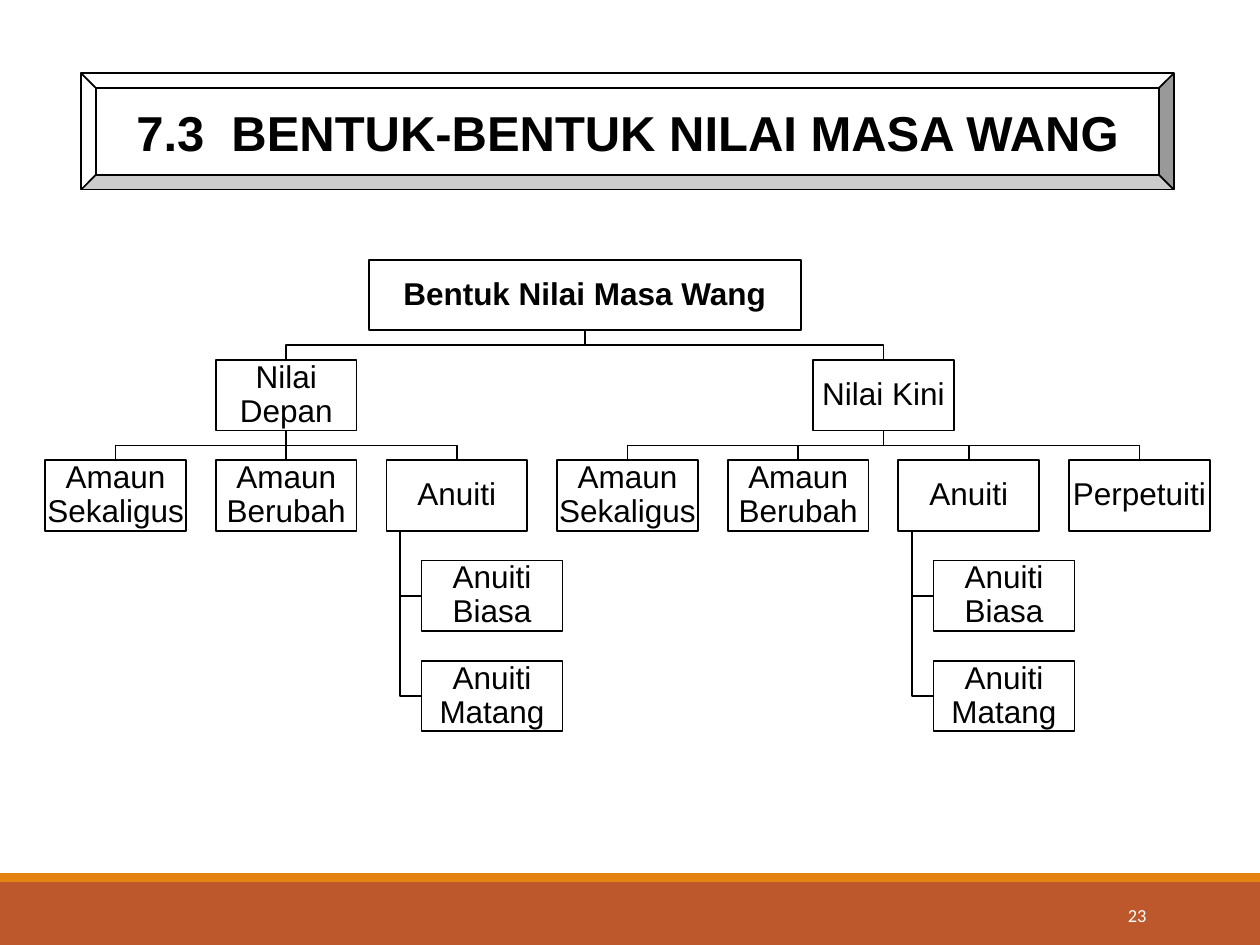
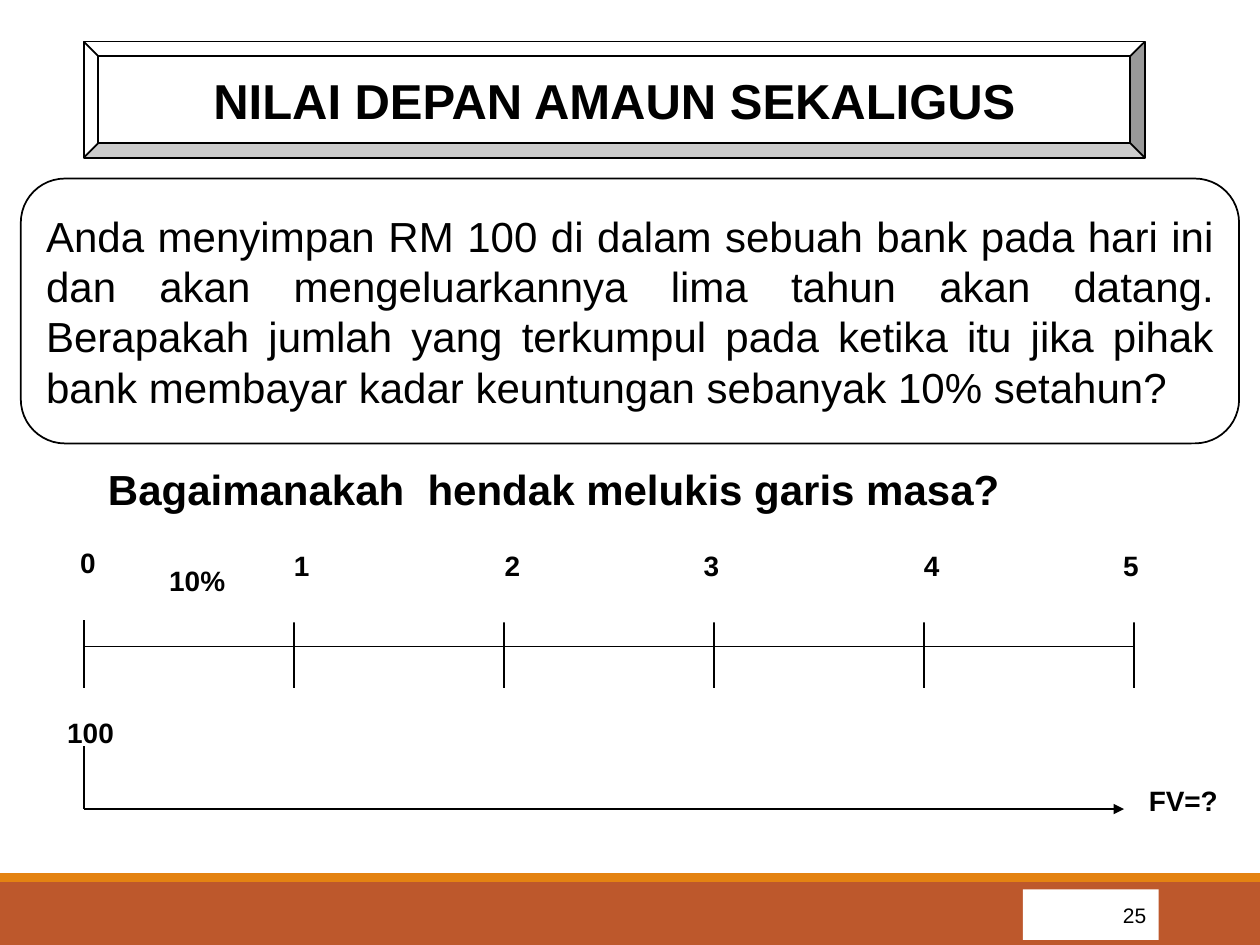
from lxml import etree
from pptx import Presentation
from pptx.dml.color import RGBColor
from pptx.enum.shapes import MSO_CONNECTOR, MSO_SHAPE
from pptx.enum.text import MSO_ANCHOR, PP_ALIGN
from pptx.oxml.ns import qn
from pptx.util import Cm, Pt

RECT, BEVEL, ROUNDED = MSO_SHAPE.RECTANGLE, MSO_SHAPE.BEVEL, MSO_SHAPE.ROUNDED_RECTANGLE
STRAIGHT = MSO_CONNECTOR.STRAIGHT
CENTER, RIGHT, JUSTIFY = PP_ALIGN.CENTER, PP_ALIGN.RIGHT, PP_ALIGN.JUSTIFY
TOP, MIDDLE = MSO_ANCHOR.TOP, MSO_ANCHOR.MIDDLE
SITE_TOP, SITE_BOTTOM = 0, 2

COLORS = {"black": "000000", "white": "FFFFFF", "rust": "BD582C", "orange": "E48312"}

TREE_TITLE = "7.3  BENTUK-BENTUK NILAI MASA WANG"
TREE_ROOT = "Bentuk Nilai Masa Wang"
ANNUITIES = ["Anuiti Biasa", "Anuiti Matang"]
BRANCHES = [
    ("Nilai Depan", [("Amaun Sekaligus", []), ("Amaun Berubah", []), ("Anuiti", ANNUITIES)]),
    ("Nilai Kini", [("Amaun Sekaligus", []), ("Amaun Berubah", []), ("Anuiti", ANNUITIES),
                    ("Perpetuiti", [])]),
]

FUTURE_TITLE = "NILAI DEPAN AMAUN SEKALIGUS"
PROBLEM = ("Anda menyimpan RM 100 di dalam sebuah bank pada hari ini dan akan "
           "mengeluarkannya lima tahun akan datang. Berapakah jumlah yang terkumpul "
           "pada ketika itu jika pihak bank membayar kadar keuntungan sebanyak 10% setahun?")
QUESTION = "Bagaimanakah  hendak melukis garis masa?"
TIMELINE_LABELS = [
    ("0", 1.35, 10.87, 0.84, 1.63),
    ("1", 5.66, 10.92, 0.84, 1.63),
    ("2", 9.91, 10.92, 0.84, 1.63),
    ("3", 13.92, 10.92, 0.84, 1.63),
    ("4", 18.36, 10.92, 0.84, 1.63),
    ("5", 22.38, 10.92, 0.84, 1.63),
    ("100", 1.09, 14.3, 1.47, 0.94),
    ("10%", 3.15, 11.23, 1.65, 1.63),
    ("FV=?", 22.89, 15.67, 1.93, 0.94),
]

NODE_W, NODE_H, ROOT_W = 2.84, 1.42, 8.71
TREE_LEFT, TREE_TOP = 0.91, 5.24
COL_STEP, ROW_STEP = 3.44, 2.02
SPINE_INDENT, LEAF_INDENT = 0.28, 0.71
AXIS_START, AXIS_END, AXIS_Y, YEARS = 1.69, 22.86, 13.03, 5
TICK_TOP, TICK_BOTTOM = 12.19, 13.87
ARROW_TOP, ARROW_Y, ARROW_END = 15.04, 16.31, 22.66


def rgb(name):
    return RGBColor.from_string(COLORS[name])


def add_box(s, x, y, w, h, fill="white", line=None, kind=RECT):
    sp = s.shapes.add_shape(kind, Cm(x), Cm(y), Cm(w), Cm(h))
    sp.shadow.inherit = False
    if fill:
        sp.fill.solid()
        sp.fill.fore_color.rgb = rgb(fill)
    else:
        sp.fill.background()
    if line:
        sp.line.color.rgb = rgb(line)
        sp.line.width = Pt(1)
    else:
        sp.line.fill.background()
    return sp


def write(sp, text, size, bold=False, align=CENTER, anchor=MIDDLE, color="black",
          font="Arial", inset=(0.25, 0.13), spacing=None, wrap=True):
    tf = sp.text_frame
    tf.word_wrap = wrap
    tf.vertical_anchor = anchor
    tf.margin_left = tf.margin_right = Cm(inset[0])
    tf.margin_top = tf.margin_bottom = Cm(inset[1])
    p = tf.paragraphs[0]
    p.alignment = align
    if spacing:
        p.line_spacing = spacing
    r = p.add_run()
    r.text = text
    r.font.size = Pt(size)
    r.font.bold = bold
    r.font.name = font
    r.font.color.rgb = rgb(color)


def add_line(s, x1, y1, x2, y2, arrow=False):
    c = s.shapes.add_connector(STRAIGHT, Cm(x1), Cm(y1), Cm(x2), Cm(y2))
    c.line.color.rgb = rgb("black")
    c.line.width = Pt(1)
    if arrow:
        etree.SubElement(c.line._get_or_add_ln(), qn("a:tailEnd"), type="triangle")
    etree.SubElement(c._element.spPr, qn("a:effectLst"))
    return c


def add_path(s, points):
    start, *rest = [(Cm(x), Cm(y)) for x, y in points]
    fb = s.shapes.build_freeform(*start)
    fb.add_line_segments(rest, close=False)
    sp = fb.convert_to_shape()
    sp.shadow.inherit = False
    sp.fill.background()
    sp.line.color.rgb = rgb("black")
    sp.line.width = Pt(1)


def add_base(prs, title, x, y, w):
    s = prs.slides.add_slide(prs.slide_layouts[6])
    add_box(s, 0, 17.78, 25.4, 1.27, "rust")
    add_box(s, 0, 17.6, 25.4, 0.18, "orange")
    write(add_box(s, x, y, w, 2.34, line="black", kind=BEVEL), title, 28, bold=True)
    return s


def add_page_number(s, number, fill=None, **style):
    write(add_box(s, 20.62, 17.93, 2.74, 1.02, fill), number, align=RIGHT, **style)


def row_top(row):
    return TREE_TOP + row * ROW_STEP


def add_node(s, text, x, row, w=NODE_W, bold=False):
    sp = add_box(s, x, row_top(row), w, NODE_H, line="black")
    write(sp, text, 18, bold=bold, inset=(0.02, 0.02), spacing=0.9)
    return sp


def link_down(s, parent, child, parent_x, child_x, row):
    start, end = row_top(row) + NODE_H, row_top(row + 1)
    if abs(parent_x - child_x) < 0.01:
        c = add_line(s, parent_x, start, child_x, end)
        c.begin_connect(parent, SITE_BOTTOM)
        c.end_connect(child, SITE_TOP)
    else:
        mid = (start + end) / 2
        add_path(s, [(parent_x, start), (parent_x, mid), (child_x, mid), (child_x, end)])


def add_leaves(s, leaves, x):
    for row, text in enumerate(leaves, 3):
        add_node(s, text, x + LEAF_INDENT, row)
        mid = row_top(row) + NODE_H / 2
        spine = x + SPINE_INDENT
        add_path(s, [(spine, row_top(2) + NODE_H), (spine, mid), (x + LEAF_INDENT, mid)])


def add_tree(s):
    half = NODE_W / 2
    col, centers = 0, []
    for _, children in BRANCHES:
        centers.append(TREE_LEFT + half + (col + (len(children) - 1) / 2) * COL_STEP)
        col += len(children)
    root_x = sum(centers) / len(centers)
    root = add_node(s, TREE_ROOT, root_x - ROOT_W / 2, 0, ROOT_W, bold=True)
    x = TREE_LEFT
    for (name, children), center in zip(BRANCHES, centers):
        branch = add_node(s, name, center - half, 1)
        link_down(s, root, branch, root_x, center, 0)
        for text, leaves in children:
            child = add_node(s, text, x, 2)
            link_down(s, branch, child, center, x + half, 1)
            add_leaves(s, leaves, x)
            x += COL_STEP


def add_timeline(s):
    add_line(s, AXIS_START, AXIS_Y, AXIS_END, AXIS_Y)
    for year in range(YEARS + 1):
        x = AXIS_START + year * (AXIS_END - AXIS_START) / YEARS
        add_line(s, x, TICK_TOP, x, TICK_BOTTOM)
    for text, *place in TIMELINE_LABELS:
        write(add_box(s, *place), text, 16, bold=True, anchor=TOP, wrap=False)
    add_line(s, AXIS_START, ARROW_TOP, AXIS_START, ARROW_Y)
    add_line(s, AXIS_START, ARROW_Y, ARROW_END, ARROW_Y, arrow=True)


def main():
    prs = Presentation()
    prs.slide_width, prs.slide_height = Cm(25.4), Cm(19.05)

    s = add_base(prs, TREE_TITLE, 1.64, 1.48, 22.02)
    add_tree(s)
    add_page_number(s, "23", size=10.5, font="Calibri", color="white")

    s = add_base(prs, FUTURE_TITLE, 1.69, 0.84, 21.39)
    sp = add_box(s, 0.42, 3.6, 24.56, 5.34, line="black", kind=ROUNDED)
    write(sp, PROBLEM, 24, align=JUSTIFY)
    write(add_box(s, 1.83, 9.22, 18.67, 1.27), QUESTION, 24, bold=True, anchor=TOP)
    add_timeline(s)
    add_page_number(s, "25", fill="white", size=12)

    prs.save("out.pptx")


if __name__ == "__main__":
    main()
